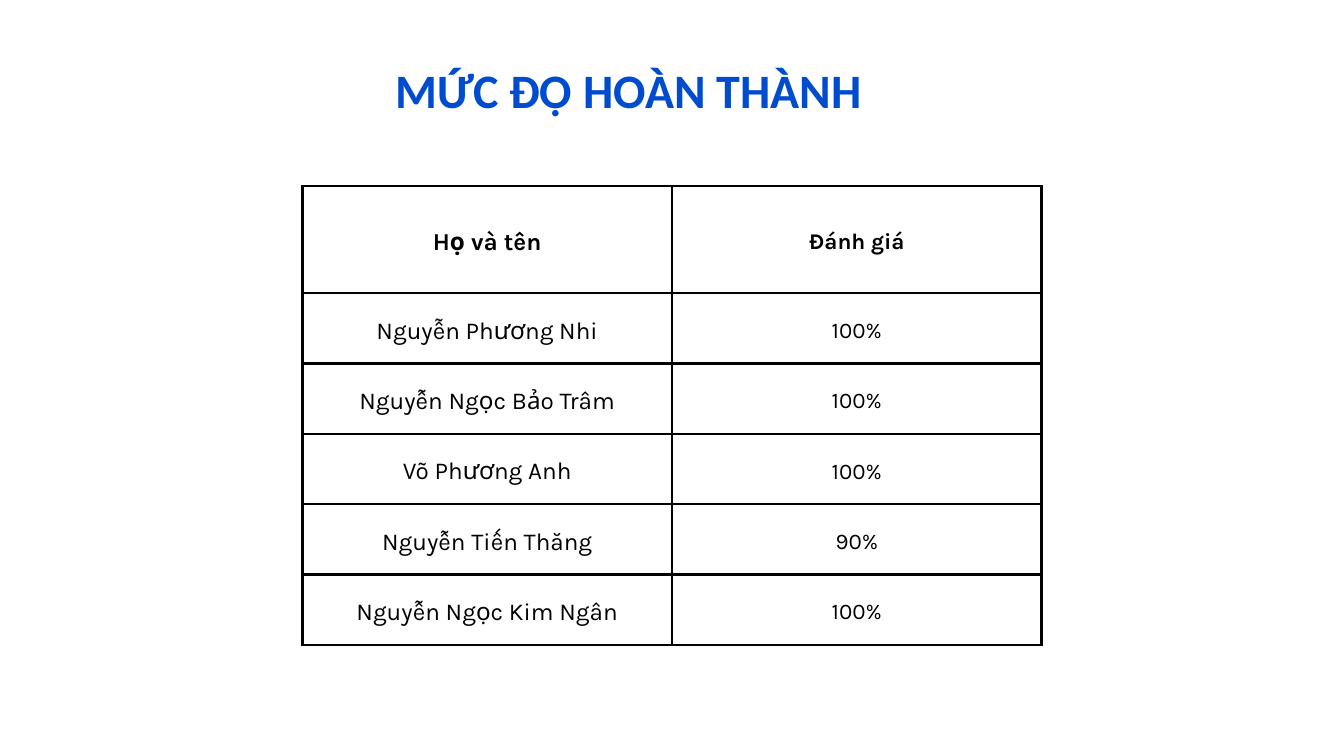
from dataclasses import dataclass

from lxml import etree
from pptx import Presentation
from pptx.dml.color import RGBColor
from pptx.enum.text import MSO_ANCHOR, MSO_AUTO_SIZE, PP_ALIGN
from pptx.oxml.ns import qn
from pptx.util import Inches, Pt

LEFT, CENTER = PP_ALIGN.LEFT, PP_ALIGN.CENTER
MIDDLE = MSO_ANCHOR.MIDDLE
GROW = MSO_AUTO_SIZE.SHAPE_TO_FIT_TEXT


@dataclass(frozen=True)
class Theme:
    title_font: str = "Calibri"
    body_font: str = "Karla"
    title_color: str = "004CCF"
    ink: str = "000000"
    paper: str = "FFFFFF"
    title_size: float = 51.4
    title_leading: float = 54.4
    name_size: float = 26
    score_size: float = 24
    cell_leading: float = 1.4
    border: float = 3


THEME = Theme()
TITLE = "MỨC ĐỘ HOÀN THÀNH"
RATINGS = [
    ("Họ và tên", "Đánh giá"),
    ("Nguyễn Phương Nhi", "100%"),
    ("Nguyễn Ngọc Bảo Trâm", "100%"),
    ("Võ Phương Anh", "100%"),
    ("Nguyễn Tiến Thăng", "90%"),
    ("Nguyễn Ngọc Kim Ngân", "100%"),
]


def write_text(frame, text, *, font, size, color, leading, bold=False, align=LEFT):
    para = frame.paragraphs[0]
    para.alignment = align
    para.line_spacing = Pt(leading)
    span = para.add_run()
    span.text = text
    span.font.name = font
    span.font.size = Pt(size)
    span.font.bold = bold
    span.font.color.rgb = RGBColor.from_string(color)


def add_title(page, left, top, width, height):
    box = page.shapes.add_textbox(Inches(left), Inches(top), Inches(width), Inches(height))
    frame = box.text_frame
    frame.word_wrap = True
    frame.auto_size = GROW
    frame.margin_left = frame.margin_right = frame.margin_top = frame.margin_bottom = 0
    write_text(frame, TITLE, font=THEME.title_font, size=THEME.title_size,
               color=THEME.title_color, leading=THEME.title_leading, bold=True)


def set_borders(cell):
    """Draw all four cell edges; they must precede the fill in the XML."""
    properties = cell._tc.get_or_add_tcPr()
    for index, side in enumerate(("a:lnL", "a:lnR", "a:lnT", "a:lnB")):
        line = etree.Element(qn(side), w=str(Pt(THEME.border)))
        fill = etree.SubElement(line, qn("a:solidFill"))
        etree.SubElement(fill, qn("a:srgbClr"), val=THEME.ink)
        properties.insert(index, line)


def style_cell(cell):
    cell.fill.solid()
    cell.fill.fore_color.rgb = RGBColor.from_string(THEME.paper)
    cell.vertical_anchor = MIDDLE
    cell.margin_left = cell.margin_right = Inches(0.21)
    cell.margin_top = cell.margin_bottom = Inches(0.21)
    set_borders(cell)


def add_ratings(page, left, top, width, height, header_height=1.59):
    table = page.shapes.add_table(len(RATINGS), 2, Inches(left), Inches(top),
                                  Inches(width), Inches(height)).table
    row_height = (height - header_height) / (len(RATINGS) - 1)
    for column in table.columns:
        column.width = Inches(width / 2)
    for row_index, texts in enumerate(RATINGS):
        is_header = row_index == 0
        table.rows[row_index].height = Inches(header_height if is_header else row_height)
        sizes = (THEME.name_size, THEME.score_size)
        for column_index, (text, size) in enumerate(zip(texts, sizes)):
            cell = table.cell(row_index, column_index)
            style_cell(cell)
            write_text(cell.text_frame, text, font=THEME.body_font, size=size,
                       color=THEME.ink, leading=size * THEME.cell_leading,
                       bold=is_header, align=CENTER)


def main():
    deck = Presentation()
    deck.slide_width, deck.slide_height = Inches(20), Inches(11.25)
    page = deck.slides.add_slide(deck.slide_layouts[6])
    add_title(page, 5.89, 1, 8.21, 0.79)
    add_ratings(page, 4.5, 2.77, 11, 6.83)
    deck.save("out.pptx")


if __name__ == "__main__":
    main()
